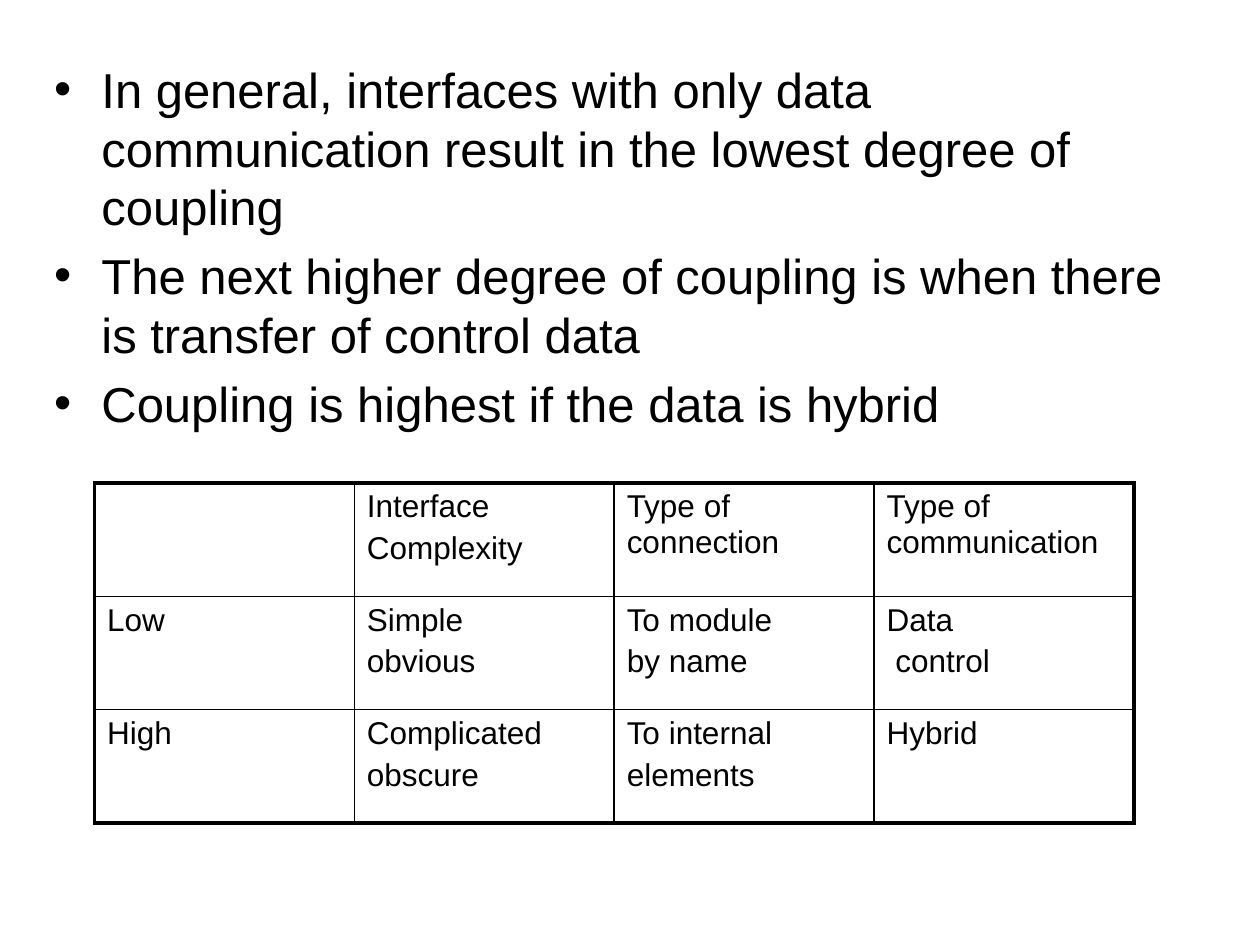
import dataclasses

import pptx
import pptx.dml.color
import pptx.enum.text
import pptx.oxml.ns
import pptx.util
from lxml import etree

COLOURS = {"ink": "000000", "paper": "FFFFFF"}
FONT = "Arial"
PAGE_WIDTH, PAGE_HEIGHT = pptx.util.Inches(10), pptx.util.Inches(7.5)
OUTER_LINE, INNER_LINE = 2.25, 1

POINTS = [
    "In general, interfaces with only data communication result in the lowest degree of coupling",
    "The next higher degree of coupling is when there is transfer of control data",
    "Coupling is highest if the data is hybrid",
]
COUPLING_ROWS = [
    ["", "Interface\nComplexity", "Type of connection", "Type of communication"],
    ["Low", "Simple\nobvious", "To module\nby name", "Data\n control"],
    ["High", "Complicated\nobscure", "To internal\nelements", "Hybrid"],
]


@dataclasses.dataclass(frozen=True)
class Area:
    left: float
    top: float
    width: float
    height: float

    def lengths(self) -> tuple[int, int, int, int]:
        return (
            round(self.left * PAGE_WIDTH),
            round(self.top * PAGE_HEIGHT),
            round(self.width * PAGE_WIDTH),
            round(self.height * PAGE_HEIGHT),
        )


POINTS_AREA = Area(0.033, 0.056, 0.933, 0.66)
TABLE_AREA = Area(0.075, 0.511, 0.825, 0.36)


def colour(name: str) -> pptx.dml.color.RGBColor:
    return pptx.dml.color.RGBColor.from_string(COLOURS[name])


def add_child(parent, tag: str, **attributes: str):
    return etree.SubElement(parent, pptx.oxml.ns.qn(tag), **attributes)


def write_text(frame, text: str, size: float) -> None:
    frame.text = text
    for para in frame.paragraphs:
        spacing = add_child(para._p.get_or_add_pPr(), "a:spcBef")
        add_child(spacing, "a:spcPct", val="20000")
        for span in para.runs:
            span.font.name = FONT
            span.font.size = pptx.util.Pt(size)
            span.font.color.rgb = colour("ink")


def draw_border(cell, side: str, width: float) -> None:
    line = add_child(
        cell._tc.get_or_add_tcPr(), f"a:ln{side}", w=str(pptx.util.Pt(width))
    )
    add_child(add_child(line, "a:solidFill"), "a:srgbClr", val=COLOURS["ink"])


def add_points(page, area: Area, points: list[str]) -> None:
    box = page.placeholders[1]
    box.left, box.top, box.width, box.height = area.lengths()
    frame = box.text_frame
    write_text(frame, "\n".join(points), 28)
    frame.auto_size = pptx.enum.text.MSO_AUTO_SIZE.NONE


def add_grid(page, area: Area, rows: list[list[str]]) -> None:
    last_row, last_column = len(rows) - 1, len(rows[0]) - 1
    table = page.shapes.add_table(len(rows), len(rows[0]), *area.lengths()).table
    table.first_row = table.horz_banding = False
    for row, texts in enumerate(rows):
        for column, text in enumerate(texts):
            cell = table.cell(row, column)
            write_text(cell.text_frame, text, 18)
            outer_sides = {
                "L": column == 0,
                "R": column == last_column,
                "T": row == 0,
                "B": row == last_row,
            }
            for side, is_outer in outer_sides.items():
                draw_border(cell, side, OUTER_LINE if is_outer else INNER_LINE)
            cell.fill.background()


def main() -> None:
    deck = pptx.Presentation()
    deck.slide_width, deck.slide_height = PAGE_WIDTH, PAGE_HEIGHT
    page = deck.slides.add_slide(deck.slide_layouts.get_by_name("Title and Content"))
    page.background.fill.solid()
    page.background.fill.fore_color.rgb = colour("paper")
    title = page.shapes.title.element
    title.getparent().remove(title)
    add_points(page, POINTS_AREA, POINTS)
    add_grid(page, TABLE_AREA, COUPLING_ROWS)
    deck.save("out.pptx")


if __name__ == "__main__":
    main()
